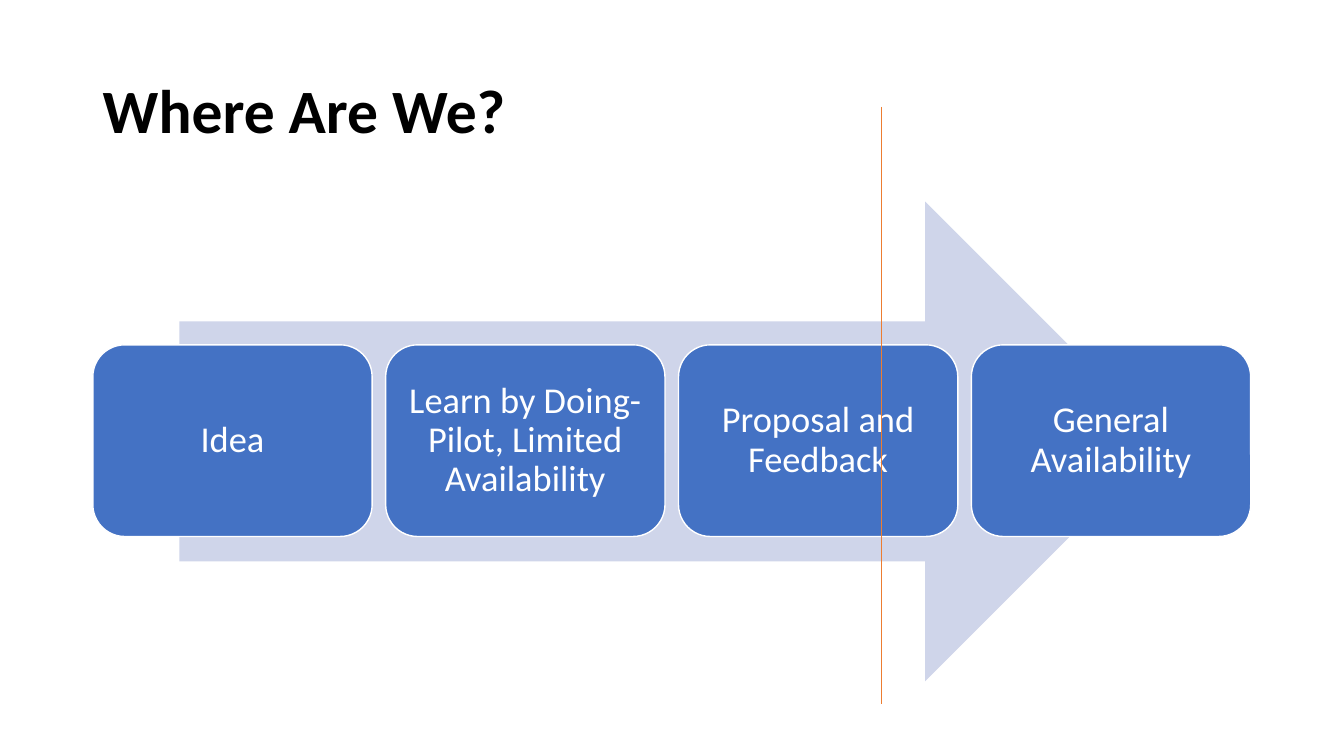
import dataclasses

import lxml.etree
import pptx
import pptx.dml.color
import pptx.enum.shapes
import pptx.enum.text
import pptx.oxml.ns
import pptx.util

Cm = pptx.util.Cm
Kind = pptx.enum.shapes.MSO_SHAPE
Align = pptx.enum.text.PP_ALIGN


@dataclasses.dataclass
class Stage:
    text: str
    left: float


def tint(code: str) -> pptx.dml.color.RGBColor:
    return pptx.dml.color.RGBColor.from_string(code)


def write(shape, text: str, size: int, color: str, align, bold: bool = False) -> None:
    frame = shape.text_frame
    frame.word_wrap = True
    frame.vertical_anchor = pptx.enum.text.MSO_ANCHOR.MIDDLE
    para = frame.paragraphs[0]
    para.alignment = align
    para.line_spacing = 0.9
    run = para.add_run()
    run.text = text
    run.font.name = "Calibri"
    run.font.size = pptx.util.Pt(size)
    run.font.bold = bold
    run.font.color.rgb = tint(color)


def block(slide, kind, left: float, top: float, width: float, height: float, color: str):
    shape = slide.shapes.add_shape(kind, Cm(left), Cm(top), Cm(width), Cm(height))
    shape.shadow.inherit = False
    shape.fill.solid()
    shape.fill.fore_color.rgb = tint(color)
    shape.line.fill.background()
    return shape


def draw(slide, stage: Stage) -> None:
    box = block(slide, Kind.ROUNDED_RECTANGLE, stage.left, TOP, WIDE, HIGH, "4472C4")
    box.line.color.rgb = tint("FFFFFF")
    box.line.width = pptx.util.Pt(1)
    frame = box.text_frame
    frame.margin_left = frame.margin_right = Cm(0.28)
    frame.margin_top = frame.margin_bottom = Cm(0.28)
    write(box, stage.text, 26, "FFFFFF", Align.CENTER)


# Grid of stages, in centimetres
LEFT, TOP, WIDE, HIGH, STEP = 2.34, 8.69, 7.04, 4.83, 7.38
NAMES = ["Idea", "Learn by Doing- Pilot, Limited Availability",
         "Proposal and Feedback", "General Availability"]
STAGES = [Stage(name, LEFT + i * STEP) for i, name in enumerate(NAMES)]

deck = pptx.Presentation()
deck.slide_width, deck.slide_height = Cm(33.87), Cm(19.05)
slide = deck.slides.add_slide(deck.slide_layouts[6])

# Title
title = slide.shapes.add_textbox(Cm(LEFT), Cm(1.02), Cm(29.21), Cm(3.68))
write(title, "Where Are We?", 44, "000000", Align.LEFT, bold=True)

# Arrow behind the stages
block(slide, Kind.RIGHT_ARROW, 4.52, 5.08, 24.84, 12.09, "CFD5EA")

# Stages
for stage in STAGES:
    draw(slide, stage)

# Line marking the present
mark = slide.shapes.add_connector(
    pptx.enum.shapes.MSO_CONNECTOR.STRAIGHT, Cm(22.2), Cm(2.69), Cm(22.2), Cm(17.73))
mark.line.color.rgb = tint("ED7D31")
mark.line.width = pptx.util.Pt(0.5)
lxml.etree.SubElement(mark._element.spPr, pptx.oxml.ns.qn("a:effectLst"))

deck.save("out.pptx")
